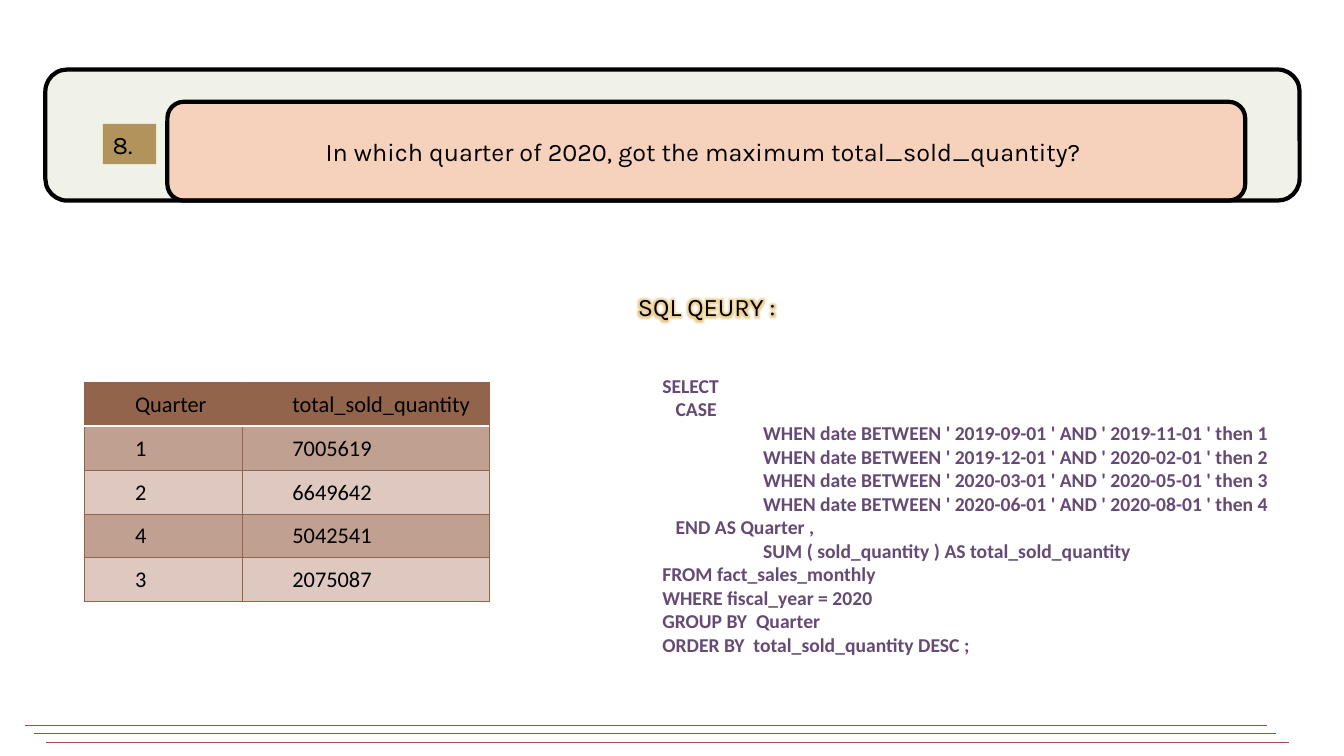
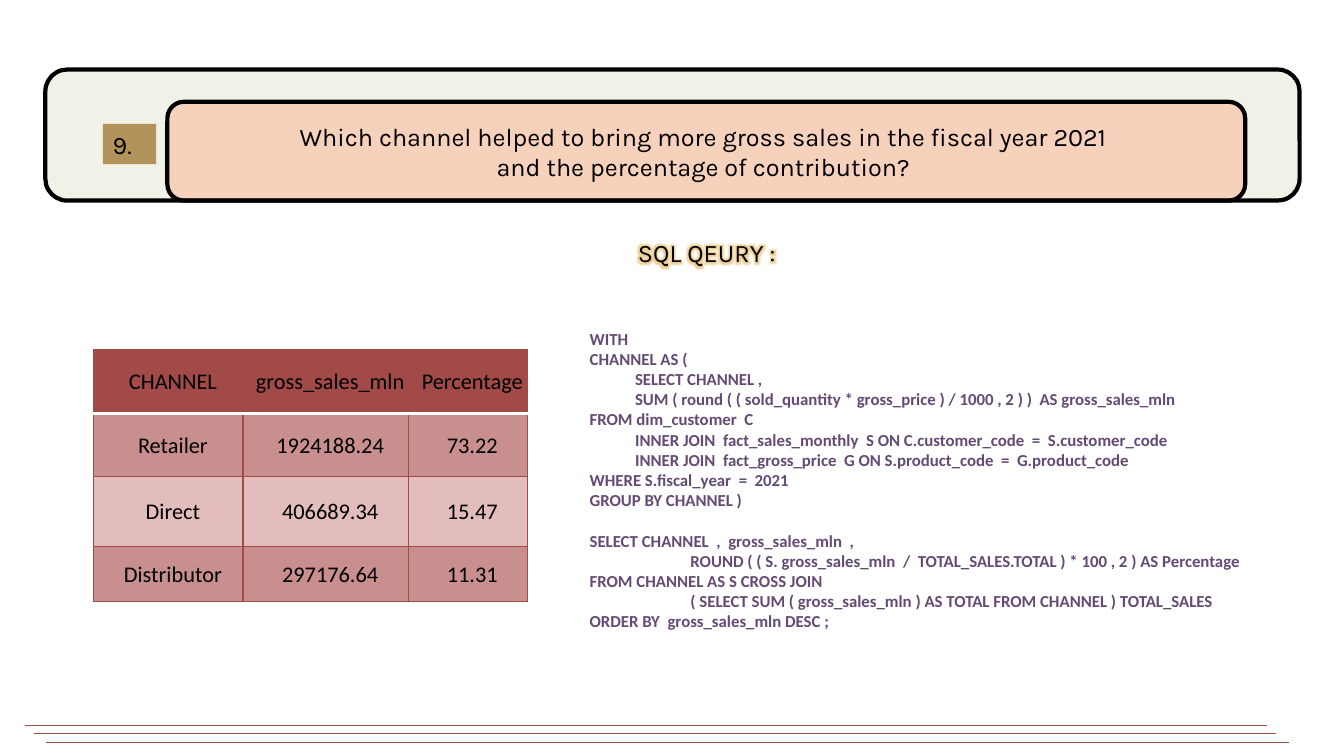
from lxml import etree
from pptx import Presentation
from pptx.dml.color import RGBColor
from pptx.enum.shapes import MSO_CONNECTOR, MSO_SHAPE
from pptx.enum.text import MSO_ANCHOR, MSO_AUTO_SIZE, PP_ALIGN
from pptx.oxml import parse_xml
from pptx.oxml.ns import nsdecls, qn
from pptx.util import Inches, Pt

ROUNDED, RECTANGLE = MSO_SHAPE.ROUNDED_RECTANGLE, MSO_SHAPE.RECTANGLE
STRAIGHT = MSO_CONNECTOR.STRAIGHT
TOP, MIDDLE, BOTTOM = MSO_ANCHOR.TOP, MSO_ANCHOR.MIDDLE, MSO_ANCHOR.BOTTOM
LEFT, CENTER = PP_ALIGN.LEFT, PP_ALIGN.CENTER
NO_AUTOFIT = MSO_AUTO_SIZE.NONE
TITLE_ONLY = 5

# Shared colours and text styles
BLACK, WHITE = "000000", "FFFFFF"
BAND, PEACH, GOLD, GLOW = "F0F1E7", "FDB292", "B2935C", "E0B050"
BROWN, RED, PURPLE = "91644B", "A24A48", "654A76"
HEADING = {"name": "Karla", "size": Pt(18), "bold": False}
CELL = {"name": "Calibri", "size": Pt(16), "bold": False}
CODE = {"name": "Calibri", "bold": True}

# Shared places: left, top, width, height
BAND_BOX = (0.45, 0.69, 12.44, 1.3)
QUESTION_BOX = (1.66, 1.01, 10.69, 0.98)
TITLE_BOX = (1.63, 1.01, 10.69, 0.98)
BADGE_BOX = (1.02, 1.23, 0.53, 0.4)
FOOTER_LEFTS, FOOTER_TOP, FOOTER_GAP, FOOTER_WIDTH = (0.25, 0.34, 0.46), 7.2, 0.08, 12.32

QUARTER_QUERY = """SELECT
   CASE
\tWHEN date BETWEEN ' 2019-09-01 ' AND ' 2019-11-01 ' then 1
\tWHEN date BETWEEN ' 2019-12-01 ' AND ' 2020-02-01 ' then 2
\tWHEN date BETWEEN ' 2020-03-01 ' AND ' 2020-05-01 ' then 3
\tWHEN date BETWEEN ' 2020-06-01 ' AND ' 2020-08-01 ' then 4
   END AS Quarter ,
\tSUM ( sold_quantity ) AS total_sold_quantity
FROM fact_sales_monthly
WHERE fiscal_year = 2020
GROUP BY  Quarter
ORDER BY  total_sold_quantity DESC ;"""

CHANNEL_QUERY = """WITH
CHANNEL AS (
            SELECT CHANNEL ,
            SUM ( round ( ( sold_quantity * gross_price ) / 1000 , 2 ) )  AS gross_sales_mln
FROM dim_customer  C
            INNER JOIN  fact_sales_monthly  S ON C.customer_code  =  S.customer_code
            INNER JOIN  fact_gross_price  G ON S.product_code  =  G.product_code
WHERE S.fiscal_year  =  2021
GROUP BY CHANNEL )

SELECT CHANNEL  ,  gross_sales_mln  ,
\tROUND ( ( S. gross_sales_mln  /  TOTAL_SALES.TOTAL ) * 100 , 2 ) AS Percentage
FROM CHANNEL AS S CROSS JOIN
 \t( SELECT SUM ( gross_sales_mln ) AS TOTAL FROM CHANNEL ) TOTAL_SALES
ORDER BY  gross_sales_mln DESC ;"""

QUESTIONS = [
    {
        "number": "8.",
        "question": "In which quarter of 2020, got the maximum total_sold_quantity?",
        "table": {
            "at": (0.84, 3.79), "columns": (1.56, 2.45), "heights": [2.18 / 5] * 5,
            "colors": (BROWN, "BFA091", "DEC8C0"), "rule": 0.5, "align": LEFT, "inset": 0.5,
            "rows": [("Quarter", "total_sold_quantity"), ("1", "7005619"),
                     ("2", "6649642"), ("4", "5042541"), ("3", "2075087")],
        },
        "heading_box": (6.01, 2.82, 2, 0.42),
        "query_box": (6.47, 3.66, 6.42, 2.93),
        "query": QUARTER_QUERY,
        "query_size": 14,
    },
    {
        "number": "9.",
        "question": "Which channel helped to bring more gross sales in the fiscal year 2021"
                    "\vand the percentage of contribution?",
        "table": {
            "at": (0.93, 3.47), "columns": (1.48, 1.64, 1.18),
            "heights": (0.63, 0.63, 0.69, 0.55),
            "colors": (RED, "C98F8E", "E3BDBC"), "rule": 1, "align": CENTER, "inset": 0.1,
            "rows": [("CHANNEL", "gross_sales_mln", "Percentage"),
                     ("Retailer", "1924188.24", "73.22"),
                     ("Direct", "406689.34", "15.47"),
                     ("Distributor", "297176.64", "11.31")],
        },
        "heading_box": (6.01, 2.29, 2, 0.42),
        "query_box": (5.75, 3.21, 7.73, 3.13),
        "query": CHANNEL_QUERY,
        "query_size": 12,
    },
]


def rgb(color):
    return RGBColor.from_string(color)


def lengths(box):
    return [Inches(value) for value in box]


def set_values(target, values):
    for name, value in values.items():
        setattr(target, name, value)


def add_alpha(color_parent, percent):
    color = color_parent.find(".//" + qn("a:srgbClr"))
    etree.SubElement(color, qn("a:alpha")).set("val", str(percent * 1000))


def style_paragraph(paragraph, font, color, align=LEFT):
    paragraph.alignment = align
    for run in paragraph.runs:
        set_values(run.font, font)
        run.font.color.rgb = rgb(color)


def style_frame(frame, anchor):
    set_values(frame, {"word_wrap": True, "auto_size": NO_AUTOFIT, "vertical_anchor": anchor})


def add_panel(slide, kind, box, fill, line=None):
    shape = slide.shapes.add_shape(kind, *lengths(box))
    shape.shadow.inherit = False
    shape.fill.solid()
    shape.fill.fore_color.rgb = rgb(fill)
    if line:
        shape.line.color.rgb = rgb(line)
        shape.line.width = Pt(3)
    else:
        shape.line.fill.background()
    return shape


def add_question(slide, number, question):
    """Band across the top, with the title in a rounded panel and a number badge."""
    add_panel(slide, ROUNDED, BAND_BOX, BAND, BLACK)
    panel = add_panel(slide, ROUNDED, QUESTION_BOX, PEACH, BLACK)
    add_alpha(panel._element.spPr.find(qn("a:solidFill")), 50)

    title = slide.shapes.title
    set_values(title, dict(zip(("left", "top", "width", "height"), lengths(TITLE_BOX))))
    title.text_frame.text = question
    style_frame(title.text_frame, MIDDLE)
    style_paragraph(title.text_frame.paragraphs[0], HEADING, BLACK, CENTER)
    slide.shapes._spTree.append(title._element)  # bring in front of the panels

    badge = add_panel(slide, RECTANGLE, BADGE_BOX, GOLD)
    badge.text_frame.text = number
    style_frame(badge.text_frame, TOP)
    style_paragraph(badge.text_frame.paragraphs[0], HEADING, BLACK)


def set_borders(cell, borders):
    """Takes a (colour, points) pair for each of L, R, T and B, in that order."""
    properties = cell._tc.get_or_add_tcPr()
    for side, (color, width) in borders.items():
        properties.append(parse_xml(
            f'<a:ln{side} {nsdecls("a")} w="{Pt(width)}"><a:solidFill>'
            f'<a:srgbClr val="{color}"/></a:solidFill></a:ln{side}>'))


def add_result_table(slide, at, columns, heights, colors, rule, align, inset, rows):
    box = (*at, sum(columns), sum(heights))
    table = slide.shapes.add_table(len(rows), len(columns), *lengths(box)).table
    table.horz_banding = False
    for column, width in zip(table.columns, columns):
        column.width = Inches(width)
    accent, dark_band, light_band = colors
    grid, header_rule = (accent, rule), (WHITE, 2)
    margins = {"margin_left": Inches(inset), "margin_right": Inches(0.01),
               "margin_top": Inches(0.01), "margin_bottom": 0, "vertical_anchor": MIDDLE}
    for index, values in enumerate(rows):
        table.rows[index].height = Inches(heights[index])
        fill = accent if index == 0 else dark_band if index % 2 else light_band
        for cell, value in zip(table.rows[index].cells, values):
            cell.text = value
            set_values(cell, margins)
            set_borders(cell, {"L": grid, "R": grid,
                               "T": header_rule if index == 1 else grid,
                               "B": header_rule if index == 0 else grid})
            cell.fill.solid()
            cell.fill.fore_color.rgb = rgb(fill)
            style_paragraph(cell.text_frame.paragraphs[0], CELL, BLACK, align)


def add_tab_stop(paragraph, position):
    tabs = etree.SubElement(paragraph._p.get_or_add_pPr(), qn("a:tabLst"))
    etree.SubElement(tabs, qn("a:tab"), pos=str(Inches(position)), algn="l")


def add_query(slide, box, query, size):
    """Code lines; an empty line in the query becomes space before the next one."""
    frame = slide.shapes.add_textbox(*lengths(box)).text_frame
    style_frame(frame, TOP)
    for block_index, block in enumerate(query.split("\n\n")):
        for line_index, line in enumerate(block.split("\n")):
            is_first = block_index == line_index == 0
            paragraph = frame.paragraphs[0] if is_first else frame.add_paragraph()
            paragraph.add_run().text = line
            if "\t" in line:
                add_tab_stop(paragraph, 1)
            style_paragraph(paragraph, {**CODE, "size": Pt(size)}, PURPLE)
            if block_index and line_index == 0:
                paragraph.space_before = Pt(size * 1.22)


def add_query_heading(slide, box):
    frame = slide.shapes.add_textbox(*lengths(box)).text_frame
    frame.text = "SQL QEURY :"
    style_frame(frame, BOTTOM)
    paragraph = frame.paragraphs[0]
    paragraph.line_spacing = 0.9
    style_paragraph(paragraph, HEADING, BLACK, CENTER)
    # Soft golden glow around the letters
    glow = parse_xml(f'<a:effectLst {nsdecls("a")}><a:glow rad="{Pt(10)}">'
                     f'<a:srgbClr val="{GLOW}"/></a:glow></a:effectLst>')
    add_alpha(glow, 60)
    paragraph.runs[0].font._element.find(qn("a:solidFill")).addnext(glow)


def add_footer_lines(slide):
    for index, left in enumerate(FOOTER_LEFTS):
        top = FOOTER_TOP + index * FOOTER_GAP
        line = slide.shapes.add_connector(
            STRAIGHT, *lengths((left, top, left + FOOTER_WIDTH, top)))
        line.line.color.rgb = rgb(RED)
        line.line.width = Pt(0.5)
        etree.SubElement(line._element.spPr, qn("a:effectLst"))


def add_question_slide(presentation, content):
    slide = presentation.slides.add_slide(presentation.slide_layouts[TITLE_ONLY])
    add_question(slide, content["number"], content["question"])
    add_result_table(slide, **content["table"])
    add_query(slide, content["query_box"], content["query"], content["query_size"])
    add_query_heading(slide, content["heading_box"])
    add_footer_lines(slide)


def main():
    presentation = Presentation()
    presentation.slide_width, presentation.slide_height = Inches(13.33), Inches(7.5)
    for content in QUESTIONS:
        add_question_slide(presentation, content)
    presentation.save("out.pptx")


if __name__ == "__main__":
    main()
